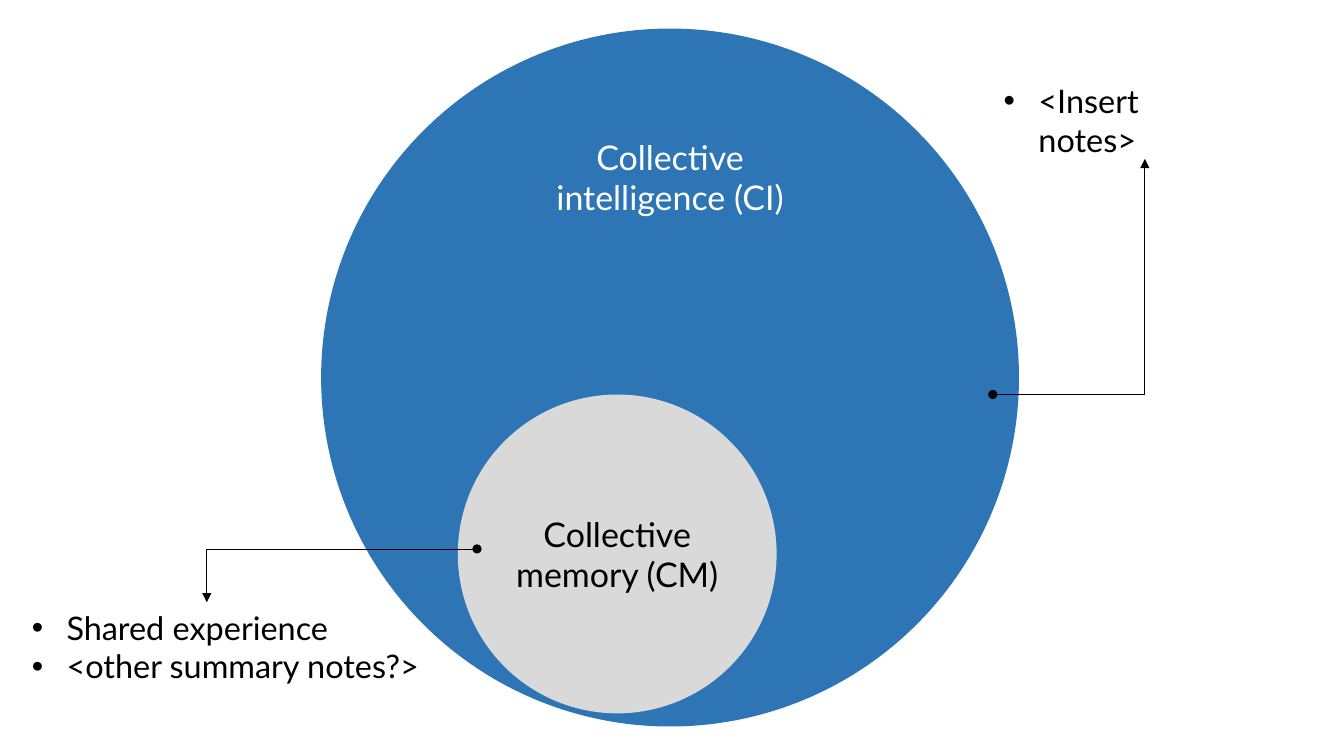
from lxml.etree import SubElement
from pptx import Presentation
from pptx.dml.color import RGBColor
from pptx.enum.shapes import MSO_CONNECTOR as CONNECTOR, MSO_SHAPE as SHAPE
from pptx.enum.text import MSO_ANCHOR as ANCHOR, PP_ALIGN as ALIGN
from pptx.oxml.ns import qn
from pptx.util import Pt

BLUE = RGBColor(0x2E, 0x75, 0xB6)
GREY = RGBColor(0xD9, 0xD9, 0xD9)
WHITE = RGBColor(0xFF, 0xFF, 0xFF)
BLACK = RGBColor(0, 0, 0)
FONT = "Lato"
BULLET_INDENT = Pt(22.5)


def write_lines(frame, lines, size, color):
    frame.word_wrap = True
    for index, line in enumerate(lines):
        paragraph = frame.add_paragraph() if index else frame.paragraphs[0]
        paragraph.text = line
        paragraph.font.name = FONT
        paragraph.font.size = Pt(size)
        paragraph.font.color.rgb = color


def add_circle(slide, left, top, diameter, fill, lines, color, anchor):
    circle = slide.shapes.add_shape(
        SHAPE.OVAL, Pt(left), Pt(top), Pt(diameter), Pt(diameter))
    circle.shadow.inherit = False
    circle.fill.solid()
    circle.fill.fore_color.rgb = fill
    circle.line.fill.background()
    frame = circle.text_frame
    frame.vertical_anchor = anchor
    write_lines(frame, lines, 22, color)
    for paragraph in frame.paragraphs:
        paragraph.alignment = ALIGN.CENTER


def add_notes(slide, left, top, width, height, lines):
    notes = slide.shapes.add_textbox(Pt(left), Pt(top), Pt(width), Pt(height))
    write_lines(notes.text_frame, lines, 21, BLACK)
    for paragraph in notes.text_frame.paragraphs:
        properties = paragraph._p.get_or_add_pPr()
        properties.set("marL", str(BULLET_INDENT))
        properties.set("indent", str(-BULLET_INDENT))
        SubElement(properties, qn("a:buFont"), typeface="Arial")
        SubElement(properties, qn("a:buChar"), char="•")


def add_callout(slide, start, end):
    callout = slide.shapes.add_connector(
        CONNECTOR.ELBOW, *(Pt(value) for value in start + end))
    callout.line.color.rgb = BLACK
    callout.line.width = Pt(0.5)
    properties = callout._element.spPr
    properties.find(qn("a:prstGeom")).set("prst", "bentConnector2")
    outline = callout.line._get_or_add_ln()
    SubElement(outline, qn("a:headEnd"), type="oval")
    SubElement(outline, qn("a:tailEnd"), type="triangle")
    SubElement(properties, qn("a:effectLst"))


def main():
    deck = Presentation()
    deck.slide_width, deck.slide_height = Pt(870.5), Pt(489.6)
    slide = deck.slides.add_slide(deck.slide_layouts[6])

    add_circle(slide, 208, 18.5, 452, BLUE,
               ["Collective", "intelligence (CI)"], WHITE, ANCHOR.TOP)
    add_circle(slide, 296.5, 255.5, 206.5, GREY,
               ["Collective memory (CM)"], BLACK, ANCHOR.MIDDLE)

    add_notes(slide, 643, 49, 115, 58, ["<Insert notes>"])
    add_notes(slide, 13.5, 390, 270, 58,
              ["Shared experience", "<other summary notes?>"])

    add_callout(slide, (309, 355.5), (134, 390))
    add_callout(slide, (643, 255.5), (741.5, 103))

    deck.save("out.pptx")


if __name__ == "__main__":
    main()
